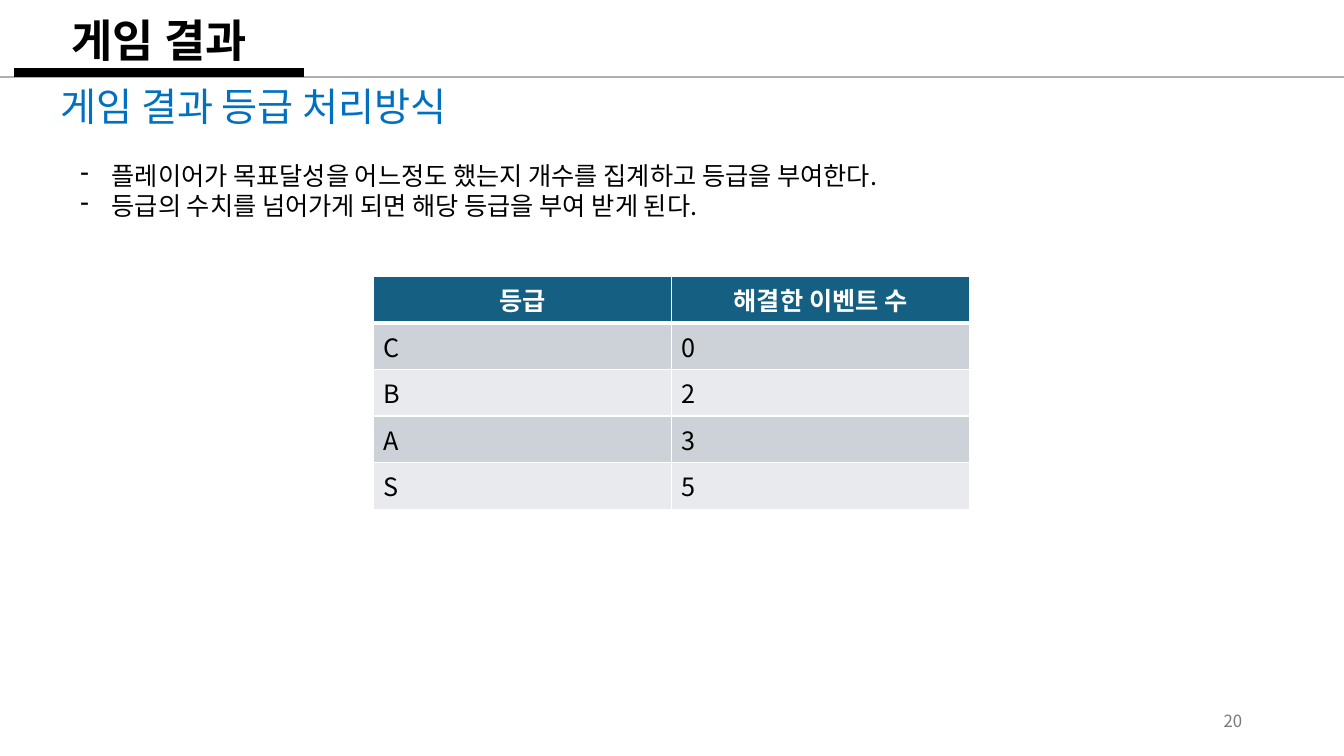
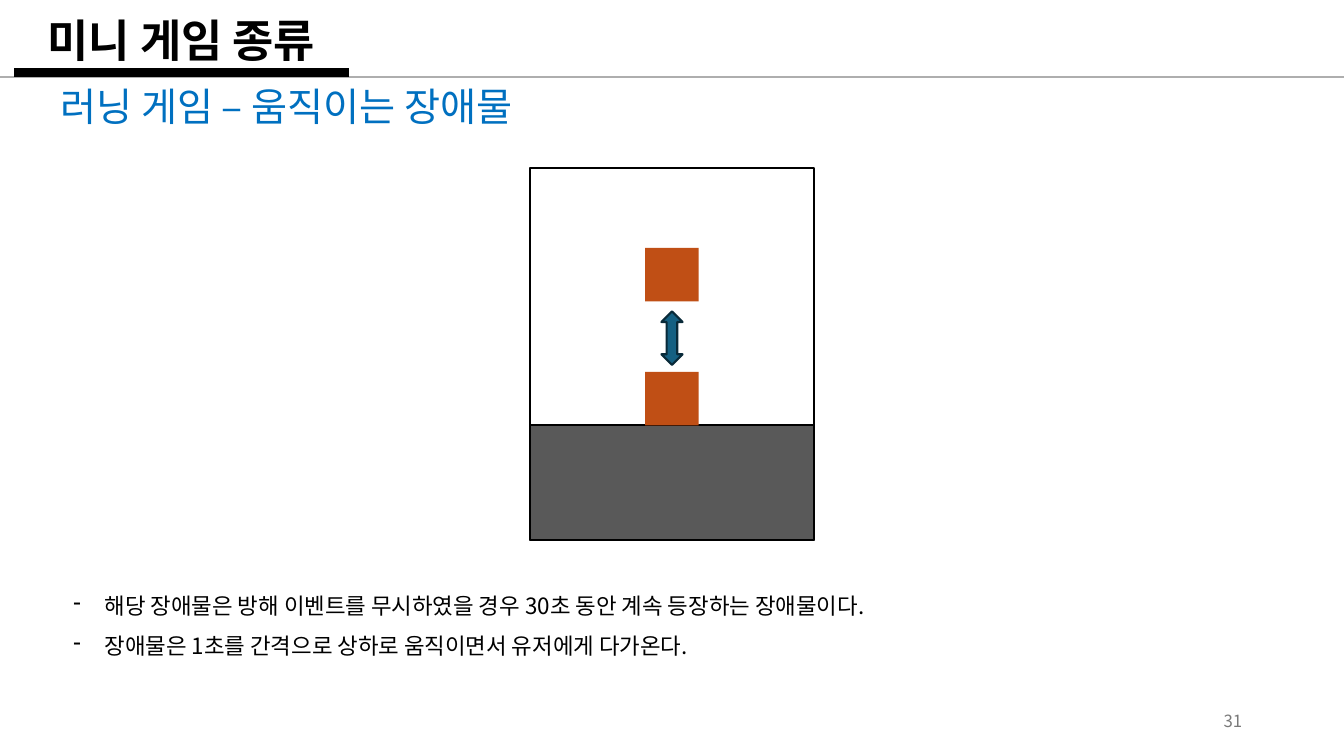
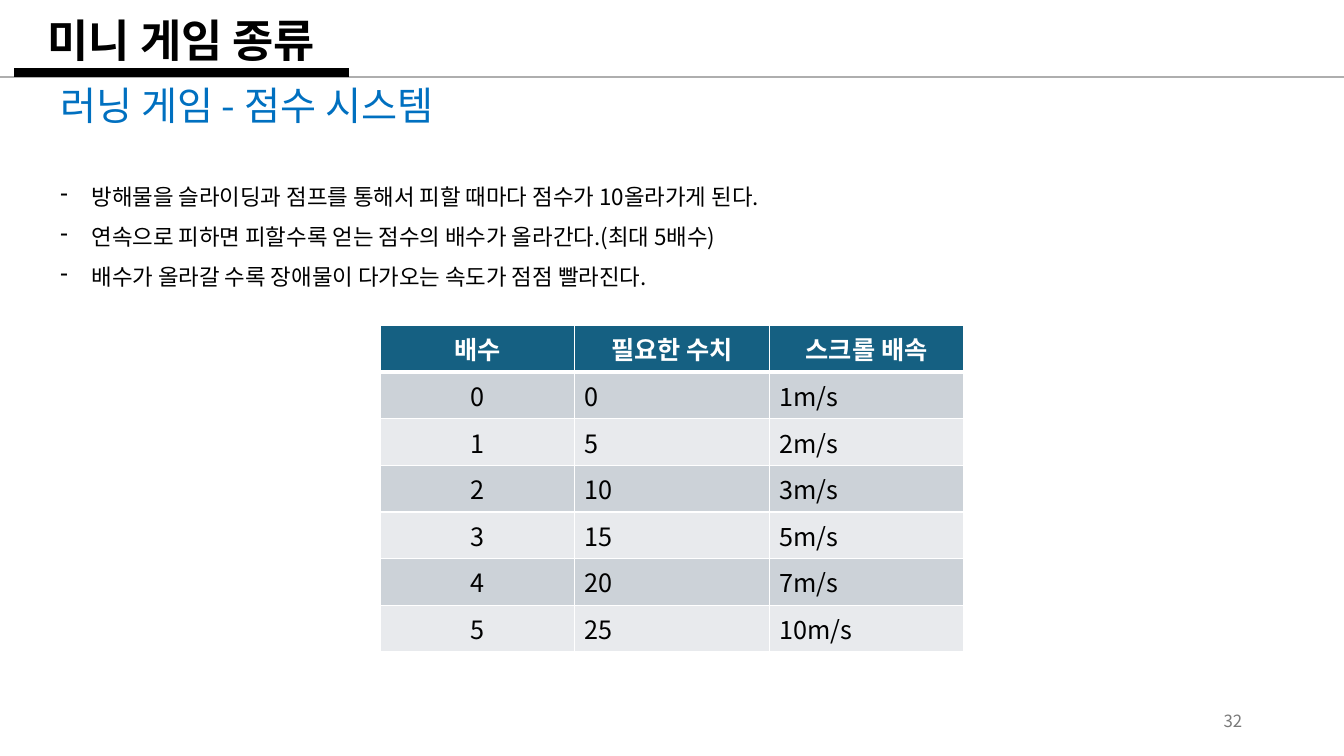
"""Build three game design slides: result grades, moving obstacle and score system."""
from lxml import etree
from pptx import Presentation
from pptx.dml.color import RGBColor
from pptx.enum.shapes import MSO_CONNECTOR, MSO_SHAPE
from pptx.enum.text import MSO_ANCHOR, MSO_AUTO_SIZE, PP_ALIGN
from pptx.oxml.ns import qn
from pptx.util import Inches, Pt

FONT = "Noto Sans CJK KR"
BLACK = RGBColor(0x00, 0x00, 0x00)
WHITE = RGBColor(0xFF, 0xFF, 0xFF)
BLUE = RGBColor(0x00, 0x70, 0xC0)
TEAL = RGBColor(0x15, 0x60, 0x82)
NAVY = RGBColor(0x09, 0x2A, 0x39)
ORANGE = RGBColor(0xC0, 0x4F, 0x15)
DARK_GRAY = RGBColor(0x59, 0x59, 0x59)
RULE_GRAY = RGBColor(0xAE, 0xAE, 0xAE)
NUMBER_GRAY = RGBColor(0x79, 0x79, 0x79)
BANDS = (RGBColor(0xE8, 0xEA, 0xED), RGBColor(0xCC, 0xD2, 0xD8))
LEFT, CENTER, RIGHT = PP_ALIGN.LEFT, PP_ALIGN.CENTER, PP_ALIGN.RIGHT
TOP, MIDDLE = MSO_ANCHOR.TOP, MSO_ANCHOR.MIDDLE
RECT, ARROW = MSO_SHAPE.RECTANGLE, MSO_SHAPE.UP_DOWN_ARROW
STRAIGHT = MSO_CONNECTOR.STRAIGHT

TITLE = {"size": Pt(32), "bold": True}
SUBTITLE = {"size": Pt(28), "bold": False}
HEADER = {"size": Pt(18), "bold": True}
CELL = {"size": Pt(18), "bold": False}
NUMBER = {"size": Pt(12), "bold": False}
ROW_H = 0.406

SLIDES = [
    {
        "title": "게임 결과", "title_w": 2.88, "number": "20",
        "subtitle": "게임 결과 등급 처리방식", "subtitle_top": 0.77,
        "notes": ["플레이어가 목표달성을 어느정도 했는지 개수를 집계하고 등급을 부여한다.",
                  "등급의 수치를 넘어가게 되면 해당 등급을 부여 받게 된다."],
        "notes_at": (0.7, 1.54, 9.03, 0.71), "notes_size": 18, "spacing": 1.0,
        "table_at": (3.7, 2.74), "col_w": 2.96, "aligns": (LEFT, LEFT),
        "rows": [("등급", "해결한 이벤트 수"),
                 ("C", "0"), ("B", "2"), ("A", "3"), ("S", "5")],
    },
    {
        "title": "미니 게임 종류", "title_w": 3.32, "number": "31",
        "subtitle": "러닝 게임 – 움직이는 장애물", "subtitle_top": 0.77,
        "notes": ["해당 장애물은 방해 이벤트를 무시하였을 경우 30초 동안 계속 등장하는 장애물이다.",
                  "장애물은 1초를 간격으로 상하로 움직이면서 유저에게 다가온다."],
        "notes_at": (0.63, 5.69, 9.01, 1.26), "notes_size": 16, "spacing": 1.5,
        "shapes": [(RECT, (5.26, 1.67, 2.81, 3.69), WHITE, BLACK),
                   (RECT, (5.26, 4.22, 2.81, 1.14), DARK_GRAY, BLACK),
                   (RECT, (6.4, 3.69, 0.53, 0.53), ORANGE, None),
                   (RECT, (6.4, 2.46, 0.53, 0.53), ORANGE, None),
                   (ARROW, (6.56, 3.09, 0.21, 0.53), TEAL, NAVY)],
    },
    {
        "title": "미니 게임 종류", "title_w": 3.32, "number": "32",
        "subtitle": "러닝 게임 - 점수 시스템", "subtitle_top": 0.76,
        "notes": ["방해물을 슬라이딩과 점프를 통해서 피할 때마다 점수가 10올라가게 된다.",
                  "연속으로 피하면 피할수록 얻는 점수의 배수가 올라간다.(최대 5배수)",
                  "배수가 올라갈 수록 장애물이 다가오는 속도가 점점 빨라진다."],
        "notes_at": (0.5, 1.63, 7.95, 1.3), "notes_size": 16, "spacing": 1.5,
        "table_at": (3.77, 3.23), "col_w": 1.93, "aligns": (CENTER, LEFT, LEFT),
        "rows": [("배수", "필요한 수치", "스크롤 배속"),
                 ("0", "0", "1m/s"), ("1", "5", "2m/s"), ("2", "10", "3m/s"),
                 ("3", "15", "5m/s"), ("4", "20", "7m/s"), ("5", "25", "10m/s")],
    },
]


def write_text(tf, lines, font, color, align=LEFT, spacing=1.0, bullet=None):
    """Fill a text frame with equally formatted paragraphs."""
    for i, line in enumerate(lines):
        p = tf.add_paragraph() if i else tf.paragraphs[0]
        p.alignment, p.line_spacing = align, spacing
        if bullet:
            pPr = p._p.get_or_add_pPr()
            pPr.set("marL", str(Inches(0.31)))
            pPr.set("indent", str(-Inches(0.31)))
            etree.SubElement(pPr, qn("a:buChar")).set("char", bullet)
        r = p.add_run()
        r.text = line
        r.font.name = FONT
        r.font.color.rgb = color
        for name, value in font.items():
            setattr(r.font, name, value)
        etree.SubElement(r._r.get_or_add_rPr(), qn("a:ea")).set("typeface", FONT)


def place_text(sp, at, anchor=TOP):
    """Position a text shape and return its wrapped text frame."""
    sp.left, sp.top, sp.width, sp.height = (Inches(v) for v in at)
    tf = sp.text_frame
    tf.word_wrap = True
    tf.auto_size = MSO_AUTO_SIZE.NONE
    tf.vertical_anchor = anchor
    return tf


prs = Presentation()
prs.slide_width, prs.slide_height = Inches(13.33), Inches(7.5)

for data in SLIDES:
    s = prs.slides.add_slide(prs.slide_layouts[5])

    tf = place_text(s.shapes.title, (0.14, 0.09, data["title_w"], 0.67), MIDDLE)
    write_text(tf, [data["title"]], TITLE, BLACK, CENTER, 0.9)

    rules = [(0, 13.33, 0.76, RULE_GRAY, 1.5),
             (0.14, 0.14 + data["title_w"], 0.72, BLACK, 6)]
    for x1, x2, y, color, width in rules:
        line = s.shapes.add_connector(STRAIGHT, Inches(x1), Inches(y), Inches(x2), Inches(y))
        line.line.color.rgb = color
        line.line.width = Pt(width)
        etree.SubElement(line._element.spPr, qn("a:effectLst"))

    notes_font = {"size": Pt(data["notes_size"]), "bold": False}
    texts = [
        ([data["subtitle"]], (0.5, data["subtitle_top"], 6, 0.57), TOP,
         (SUBTITLE, BLUE)),
        (data["notes"], data["notes_at"], TOP,
         (notes_font, BLACK, LEFT, data["spacing"], "-")),
        ([data["number"]], (9.42, 6.95, 3, 0.4), MIDDLE,
         (NUMBER, NUMBER_GRAY, RIGHT)),
    ]
    for lines, at, anchor, style in texts:
        tf = place_text(s.shapes.add_textbox(0, 0, 0, 0), at, anchor)
        write_text(tf, lines, *style)

    for kind, at, fill, outline in data.get("shapes", []):
        sp = s.shapes.add_shape(kind, *(Inches(v) for v in at))
        sp.shadow.inherit = False
        sp.fill.solid()
        sp.fill.fore_color.rgb = fill
        if outline is None:
            sp.line.fill.background()
        else:
            sp.line.color.rgb = outline
            sp.line.width = Pt(1.5)

    if "rows" in data:
        rows, aligns = data["rows"], data["aligns"]
        x, y = data["table_at"]
        table = s.shapes.add_table(
            len(rows), len(aligns), Inches(x), Inches(y),
            Inches(data["col_w"] * len(aligns)), Inches(ROW_H * len(rows))).table
        for col in table.columns:
            col.width = Inches(data["col_w"])
        for i, row in enumerate(rows):
            table.rows[i].height = Inches(ROW_H)
            for j, text in enumerate(row):
                cell = table.cell(i, j)
                tcPr = cell._tc.get_or_add_tcPr()
                widths = {"lnL": 1, "lnR": 1, "lnT": 3 if i == 1 else 1, "lnB": 1 if i else 3}
                for edge, width in widths.items():
                    ln = etree.SubElement(tcPr, qn(f"a:{edge}"), w=str(Pt(width)))
                    fill = etree.SubElement(ln, qn("a:solidFill"))
                    etree.SubElement(fill, qn("a:srgbClr"), val=str(WHITE))
                cell.fill.solid()
                cell.fill.fore_color.rgb = BANDS[i % 2] if i else TEAL
                font, color, align = (CELL, BLACK, aligns[j]) if i else (HEADER, WHITE, CENTER)
                write_text(cell.text_frame, [text], font, color, align)

prs.save("out.pptx")
